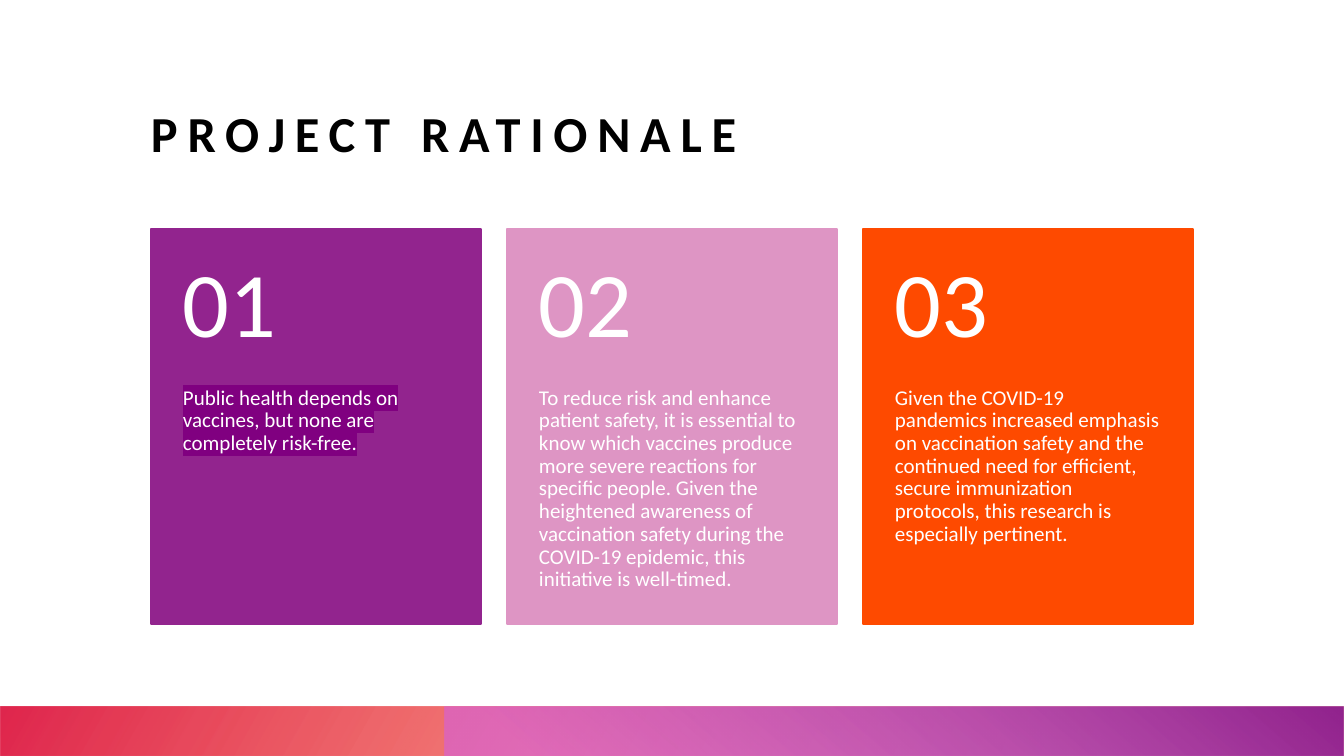
"""Build the project rationale slide: three numbered cards above a gradient band."""
from dataclasses import dataclass

from lxml.etree import SubElement
from pptx import Presentation
from pptx.dml.color import RGBColor
from pptx.enum.shapes import MSO_SHAPE as Preset
from pptx.enum.text import MSO_ANCHOR as Anchor, MSO_AUTO_SIZE as AutoSize, PP_ALIGN as Align
from pptx.oxml import parse_xml
from pptx.oxml.ns import nsdecls, qn
from pptx.util import Pt

PX = 12192000 / 1344


@dataclass(frozen=True)
class Theme:
    font: str = "Calibri"
    ink: str = "000000"
    white: str = "FFFFFF"
    purple: str = "92248E"
    pink: str = "DE95C4"
    orange: str = "FE4A00"
    red: str = "DA002F"
    orchid: str = "D861D4"
    highlight: str = "800080"
    title_size: int = 36
    number_size: int = 66
    body_size: int = 15


theme = Theme()


def px(*lengths):
    return [round(length * PX) for length in lengths]


def write(shape, text, *, size, color=theme.white, bold=False, anchor=Anchor.TOP,
          insets=(0, 0, 0, 0), line_spacing=0.9, spacing=None, highlight=None):
    frame = shape.text_frame
    frame.word_wrap = True
    frame.auto_size = AutoSize.NONE
    frame.vertical_anchor = anchor
    (frame.margin_left, frame.margin_top,
     frame.margin_right, frame.margin_bottom) = px(*insets)
    paragraph = frame.paragraphs[0]
    paragraph.alignment = Align.LEFT
    paragraph.line_spacing = line_spacing
    paragraph.space_before = Pt(0)
    run = paragraph.add_run()
    run.text = text
    font = run.font
    font.size, font.bold, font.name = Pt(size), bold, theme.font
    font.color.rgb = RGBColor.from_string(color)
    properties = run._r.get_or_add_rPr()
    if spacing:
        properties.set("spc", str(spacing * 100))
    if highlight:
        marker = parse_xml(f'<a:highlight {nsdecls("a")}><a:srgbClr val="{highlight}"/></a:highlight>')
        properties.find(qn("a:solidFill")).addnext(marker)


deck = Presentation()
deck.slide_width, deck.slide_height = px(1344, 756)
slide = deck.slides.add_slide(deck.slide_layouts[5])
shapes = slide.shapes

title = shapes.title
title.left, title.top, title.width, title.height = px(151, 52, 1042, 111)
write(title, "PROJECT RATIONALE", size=theme.title_size, color=theme.ink, bold=True,
      anchor=Anchor.BOTTOM, spacing=7)

bands = [
    (0, 180, 150, [(14, theme.orange, 28), (100, theme.red, 85)]),
    (445, 0, 230, [(9, theme.orchid, 68), (99, theme.purple, 100)]),
]
for left, rotation, angle, stops in bands:
    band = shapes.add_shape(Preset.RECTANGLE, *px(left, 707, 1344 - left, 49))
    band.shadow.inherit = False
    band.rotation = rotation
    band._element.spPr.find(qn("a:xfrm")).set("flipH", "1")
    band.line.fill.background()
    band.fill.gradient()
    gradient = band._element.spPr.find(qn("a:gradFill"))
    gradient.set("rotWithShape", "1")
    stop_list = gradient.find(qn("a:gsLst"))
    for stop in list(stop_list):
        stop_list.remove(stop)
    for position, color, opacity in stops:
        stop = SubElement(stop_list, qn("a:gs"), pos=str(position * 1000))
        tint = SubElement(stop, qn("a:srgbClr"), val=color)
        SubElement(tint, qn("a:alpha"), val=str(opacity * 1000))
    gradient.find(qn("a:lin")).set("ang", str(angle * 60000))

CARD_LEFT, CARD_TOP, CARD_WIDTH, CARD_HEIGHT = 151, 229, 330, 395
CARD_PITCH, NUMBER_HEIGHT = 356, 158
reasons = [
    (theme.purple, theme.highlight,
     "Public health depends on vaccines, but none are completely risk-free."),
    (theme.pink, None,
     "To reduce risk and enhance patient safety, it is essential to know which vaccines "
     "produce more severe reactions for specific people. Given the heightened awareness of "
     "vaccination safety during the COVID-19 epidemic, this initiative is well-timed."),
    (theme.orange, None,
     "Given the COVID-19 pandemics increased emphasis on vaccination safety and the "
     "continued need for efficient, secure immunization protocols, this research is "
     "especially pertinent."),
]
for index, (color, highlight, reason) in enumerate(reasons):
    left = CARD_LEFT + index * CARD_PITCH
    card = shapes.add_shape(Preset.RECTANGLE, *px(left, CARD_TOP, CARD_WIDTH, CARD_HEIGHT))
    card.shadow.inherit = False
    card.fill.solid()
    card.fill.fore_color.rgb = RGBColor.from_string(color)
    card.line.color.rgb = RGBColor.from_string(color)
    card.line.width = Pt(1)

    body = shapes.add_textbox(*px(left, CARD_TOP + NUMBER_HEIGHT, CARD_WIDTH,
                                  CARD_HEIGHT - NUMBER_HEIGHT))
    write(body, reason, size=theme.body_size, insets=(32, 0, 32, 36), highlight=highlight)

    number = shapes.add_textbox(*px(left, CARD_TOP, CARD_WIDTH, NUMBER_HEIGHT))
    write(number, f"{index + 1:02}", size=theme.number_size, anchor=Anchor.MIDDLE,
          insets=(32, 18, 32, 18))

deck.save("out.pptx")
